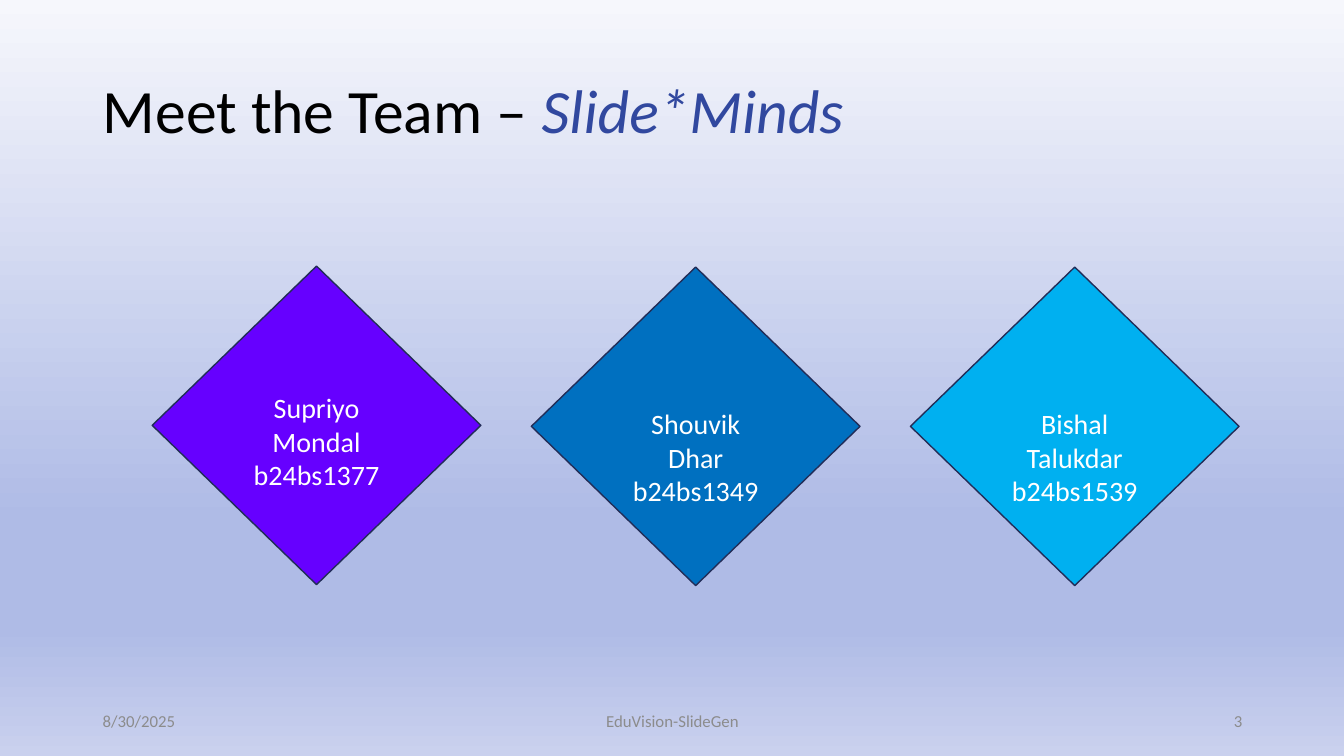
"""Build the team slide with three member diamonds."""
import pptx
import pptx.dml.color
import pptx.enum.shapes
import pptx.enum.text
import pptx.oxml
import pptx.oxml.ns
import pptx.util

Inches = pptx.util.Inches
ALIGN = pptx.enum.text.PP_ALIGN
ANCHOR = pptx.enum.text.MSO_ANCHOR

BACKGROUND_STOPS = [(0, "F6F7FC"), (69, "AFBBE6"), (83, "AFBBE6"), (100, "CAD1EE")]
TITLE_RUNS = [
    ("Meet the Team – ", "000000", False),
    ("Slide*Minds", "31489F", True),
]
MEMBERS = [
    {"lines": ["Supriyo Mondal", "b24bs1377"], "fill": "6600FF", "top": 2.64, "inset": 0.31},
    {"lines": ["Shouvik Dhar", "b24bs1349"], "fill": "0070C0", "top": 2.65, "inset": 0.61},
    {"lines": ["Bishal Talukdar", "b24bs1539"], "fill": "00B0F0", "top": 2.65, "inset": 0.61},
]
FOOTERS = [
    ("8/30/2025", 0.92, 3, ALIGN.LEFT),
    ("EduVision-SlideGen", 4.42, 4.5, ALIGN.CENTER),
    ("3", 9.42, 3, ALIGN.RIGHT),
]
DIAMOND_LEFT, DIAMOND_WIDTH, DIAMOND_HEIGHT, DIAMOND_GAP = 1.51, 3.26, 3.16, 0.5


def color(hex_value):
    return pptx.dml.color.RGBColor.from_string(hex_value)


def apply_format(target, values):
    for name, value in values.items():
        setattr(target, name, value)


def add_run(paragraph, text, size, hex_value, italic=False):
    run = paragraph.add_run()
    run.text = text
    apply_format(run.font, {"name": "Calibri", "size": pptx.util.Pt(size), "italic": italic})
    run.font.color.rgb = color(hex_value)


def paint_background(slide):
    fill = slide.background.fill
    fill.gradient()
    fill.gradient_angle = 270
    stops = slide.element.find(".//" + pptx.oxml.ns.qn("a:gsLst"))
    for stop in list(stops):
        stops.remove(stop)
    for percent, hex_value in BACKGROUND_STOPS:
        stops.append(pptx.oxml.parse_xml(
            f'<a:gs {pptx.oxml.ns.nsdecls("a")} pos="{percent * 1000}">'
            f'<a:srgbClr val="{hex_value}"/></a:gs>'))


def add_title(slide):
    title = slide.shapes.title
    apply_format(title, {"left": Inches(0.92), "top": Inches(0.4),
                         "width": Inches(11.5), "height": Inches(1.45)})
    title.text_frame.vertical_anchor = ANCHOR.MIDDLE
    paragraph = title.text_frame.paragraphs[0]
    apply_format(paragraph, {"alignment": ALIGN.LEFT, "line_spacing": 0.9})
    for text, hex_value, italic in TITLE_RUNS:
        add_run(paragraph, text, 44, hex_value, italic)


def add_member(slide, index, member):
    left = DIAMOND_LEFT + index * (DIAMOND_WIDTH + DIAMOND_GAP)
    diamond = slide.shapes.add_shape(
        pptx.enum.shapes.MSO_SHAPE.DIAMOND, Inches(left), Inches(member["top"]),
        Inches(DIAMOND_WIDTH), Inches(DIAMOND_HEIGHT))
    diamond.shadow.inherit = False
    diamond.fill.solid()
    diamond.fill.fore_color.rgb = color(member["fill"])
    diamond.line.color.rgb = color("222D58")
    diamond.line.width = pptx.util.Pt(1)
    frame = diamond.text_frame
    apply_format(frame, {"word_wrap": True, "vertical_anchor": ANCHOR.MIDDLE,
                         "margin_top": Inches(member["inset"]), "margin_bottom": 0})
    for number, line in enumerate(member["lines"]):
        paragraph = frame.add_paragraph() if number else frame.paragraphs[0]
        paragraph.alignment = ALIGN.CENTER
        add_run(paragraph, line, 20, "FFFFFF")


def add_footer(slide, text, left, width, alignment):
    box = slide.shapes.add_textbox(Inches(left), Inches(6.95), Inches(width), Inches(0.4))
    apply_format(box.text_frame, {"word_wrap": True, "vertical_anchor": ANCHOR.MIDDLE})
    paragraph = box.text_frame.paragraphs[0]
    paragraph.alignment = alignment
    add_run(paragraph, text, 12, "8C8C8C")


def main():
    presentation = pptx.Presentation()
    apply_format(presentation, {"slide_width": Inches(13.33), "slide_height": Inches(7.5)})
    slide = presentation.slides.add_slide(presentation.slide_layouts[5])
    paint_background(slide)
    add_title(slide)
    for footer in FOOTERS:
        add_footer(slide, *footer)
    for index, member in enumerate(MEMBERS):
        add_member(slide, index, member)
    presentation.save("out.pptx")


if __name__ == "__main__":
    main()
